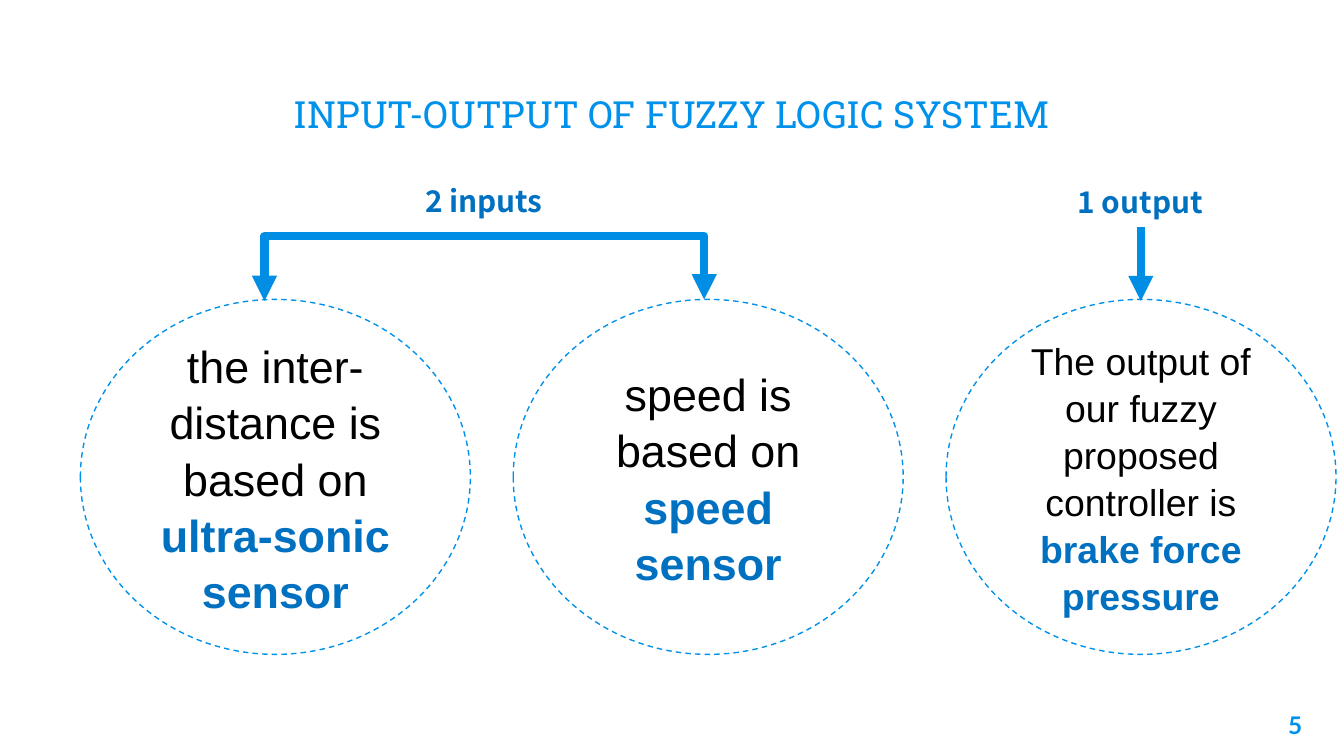
from dataclasses import dataclass

import lxml.etree
import pptx
import pptx.dml.color
import pptx.enum.dml
import pptx.enum.shapes
import pptx.enum.text
import pptx.oxml.ns
import pptx.util

Cm = pptx.util.Cm
Align = pptx.enum.text.PP_ALIGN
Anchor = pptx.enum.text.MSO_ANCHOR
Connector = pptx.enum.shapes.MSO_CONNECTOR


@dataclass(frozen=True)
class Theme:
    accent: str = "0091EA"
    arrow: str = "008EE5"
    strong: str = "0070C0"
    body: str = "000000"
    title_font: str = "Roboto Slab"
    body_font: str = "Arial"
    label_font: str = "Noto Sans CJK SC"
    number_font: str = "Lato"
    title_size: int = 20
    large_size: int = 24
    small_size: int = 20
    label_size: int = 16
    number_size: int = 13
    outline: float = 0.75
    arrow_width: float = 4.5


@dataclass(frozen=True)
class Signal:
    lead: str
    source: str
    size: int


@dataclass(frozen=True)
class Label:
    text: str
    left: float
    top: float
    width: float


THEME = Theme()
CIRCLE_LEFT, CIRCLE_TOP, CIRCLE_STEP = 1.52, 5.66, 8.18
CIRCLE_WIDTH, CIRCLE_HEIGHT = 7.37, 6.71
SIGNALS = [
    Signal("the inter-distance is based on ", "ultra-sonic sensor", THEME.large_size),
    Signal("speed is based on ", "speed sensor", THEME.large_size),
    Signal("The output of our fuzzy proposed controller is ",
           "brake force pressure", THEME.small_size),
]
LABELS = [Label("2 inputs", 7.75, 3.33, 2.79), Label("1 output", 19.96, 3.35, 3.18)]


def rgb(value: str):
    return pptx.dml.color.RGBColor.from_string(value)


def add_text(para, text: str, *, font: str, size: int, color: str, bold: bool = False) -> None:
    span = para.add_run()
    span.text = text
    span.font.name = font
    span.font.size = pptx.util.Pt(size)
    span.font.bold = bold
    span.font.color.rgb = rgb(color)


def prepare_frame(shape, *, anchor=Anchor.TOP, align=Align.CENTER, inset: float = 0.25):
    frame = shape.text_frame
    frame.word_wrap = True
    frame.auto_size = pptx.enum.text.MSO_AUTO_SIZE.NONE
    frame.vertical_anchor = anchor
    frame.margin_left = frame.margin_right = Cm(0.25)
    frame.margin_top = frame.margin_bottom = Cm(inset)
    para = frame.paragraphs[0]
    para.alignment = align
    return para


def add_title(page, text: str) -> None:
    title = page.shapes.title
    title.left, title.top, title.width, title.height = Cm(2.18), Cm(0.86), Cm(21.03), Cm(1.96)
    para = prepare_frame(title, anchor=Anchor.BOTTOM)
    add_text(para, text, font=THEME.title_font, size=THEME.title_size, color=THEME.accent)


def add_circle(page, signal: Signal, left: float) -> None:
    circle = page.shapes.add_shape(
        pptx.enum.shapes.MSO_SHAPE.OVAL,
        Cm(left), Cm(CIRCLE_TOP), Cm(CIRCLE_WIDTH), Cm(CIRCLE_HEIGHT))
    circle.shadow.inherit = False
    circle.fill.background()
    circle.line.color.rgb = rgb(THEME.accent)
    circle.line.width = pptx.util.Pt(THEME.outline)
    circle.line.dash_style = pptx.enum.dml.MSO_LINE.DASH
    para = prepare_frame(circle, anchor=Anchor.MIDDLE)
    para.line_spacing = 1.05
    add_text(para, signal.lead, font=THEME.body_font, size=signal.size, color=THEME.body)
    add_text(para, signal.source, font=THEME.body_font, size=signal.size,
             color=THEME.strong, bold=True)


def add_label(page, label: Label) -> None:
    box = page.shapes.add_textbox(Cm(label.left), Cm(label.top), Cm(label.width), Cm(0.94))
    para = prepare_frame(box, inset=0.13)
    add_text(para, label.text, font=THEME.label_font, size=THEME.label_size,
             color=THEME.strong, bold=True)


def add_number(page, text: str) -> None:
    box = page.shapes.add_textbox(Cm(23.34), Cm(13.18), Cm(1.52), Cm(1.09))
    para = prepare_frame(box, align=Align.RIGHT)
    add_text(para, text, font=THEME.number_font, size=THEME.number_size,
             color=THEME.accent, bold=True)


def add_arrow(page, kind, start: tuple[float, float], end: tuple[float, float],
              heads: tuple[str, ...]):
    arrow = page.shapes.add_connector(kind, *map(Cm, start), *map(Cm, end))
    arrow.line.color.rgb = rgb(THEME.arrow)
    arrow.line.width = pptx.util.Pt(THEME.arrow_width)
    qn = pptx.oxml.ns.qn
    properties = arrow._element.spPr
    outline = properties.find(qn("a:ln"))
    for head in heads:
        lxml.etree.SubElement(outline, qn(head), type="triangle")
    lxml.etree.SubElement(properties, qn("a:effectLst"))
    return arrow


def add_fork(page) -> None:
    fork = add_arrow(page, Connector.ELBOW, (9.17, 9.83), (9.14, 1.52),
                     ("a:headEnd", "a:tailEnd"))
    qn = pptx.oxml.ns.qn
    properties = fork._element.spPr
    properties.find(qn("a:xfrm")).set("rot", str(270 * 60000))
    geometry = properties.find(qn("a:prstGeom"))
    adjustments = geometry.find(qn("a:avLst"))
    if adjustments is None:
        adjustments = lxml.etree.SubElement(geometry, qn("a:avLst"))
    rise = round(-1.2 / 0.03 * 100000)
    lxml.etree.SubElement(adjustments, qn("a:gd"), name="adj1", fmla=f"val {rise}")


def main() -> None:
    deck = pptx.Presentation()
    deck.slide_width, deck.slide_height = Cm(25.4), Cm(14.29)
    page = deck.slides.add_slide(deck.slide_layouts[5])
    add_title(page, "INPUT-OUTPUT OF FUZZY LOGIC SYSTEM")
    for index, signal in enumerate(SIGNALS):
        add_circle(page, signal, CIRCLE_LEFT + index * CIRCLE_STEP)
    for label in LABELS:
        add_label(page, label)
    add_fork(page)
    add_arrow(page, Connector.STRAIGHT, (21.56, 4.29), (21.56, 5.69), ("a:tailEnd",))
    add_number(page, "5")
    deck.save("out.pptx")


if __name__ == "__main__":
    main()
